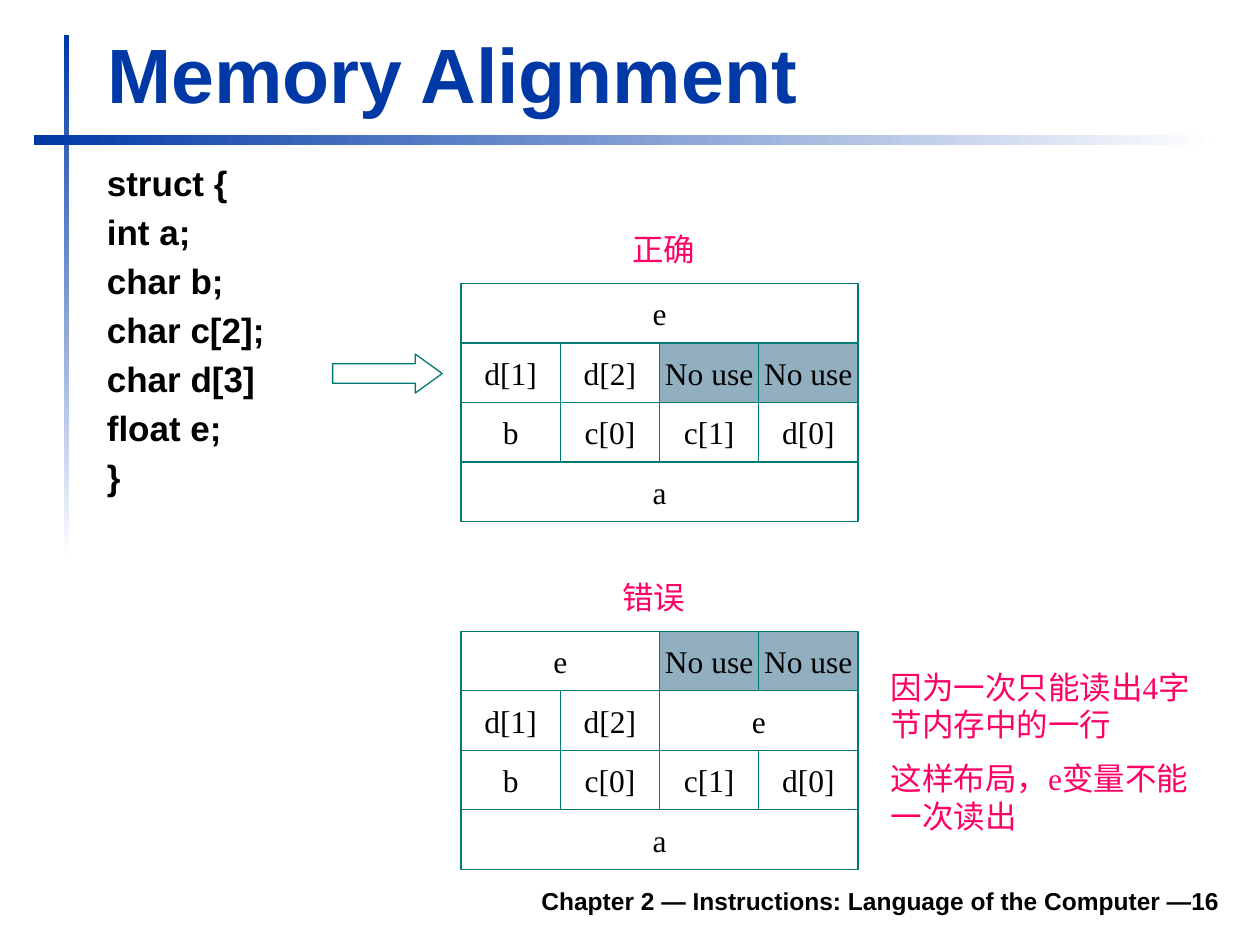
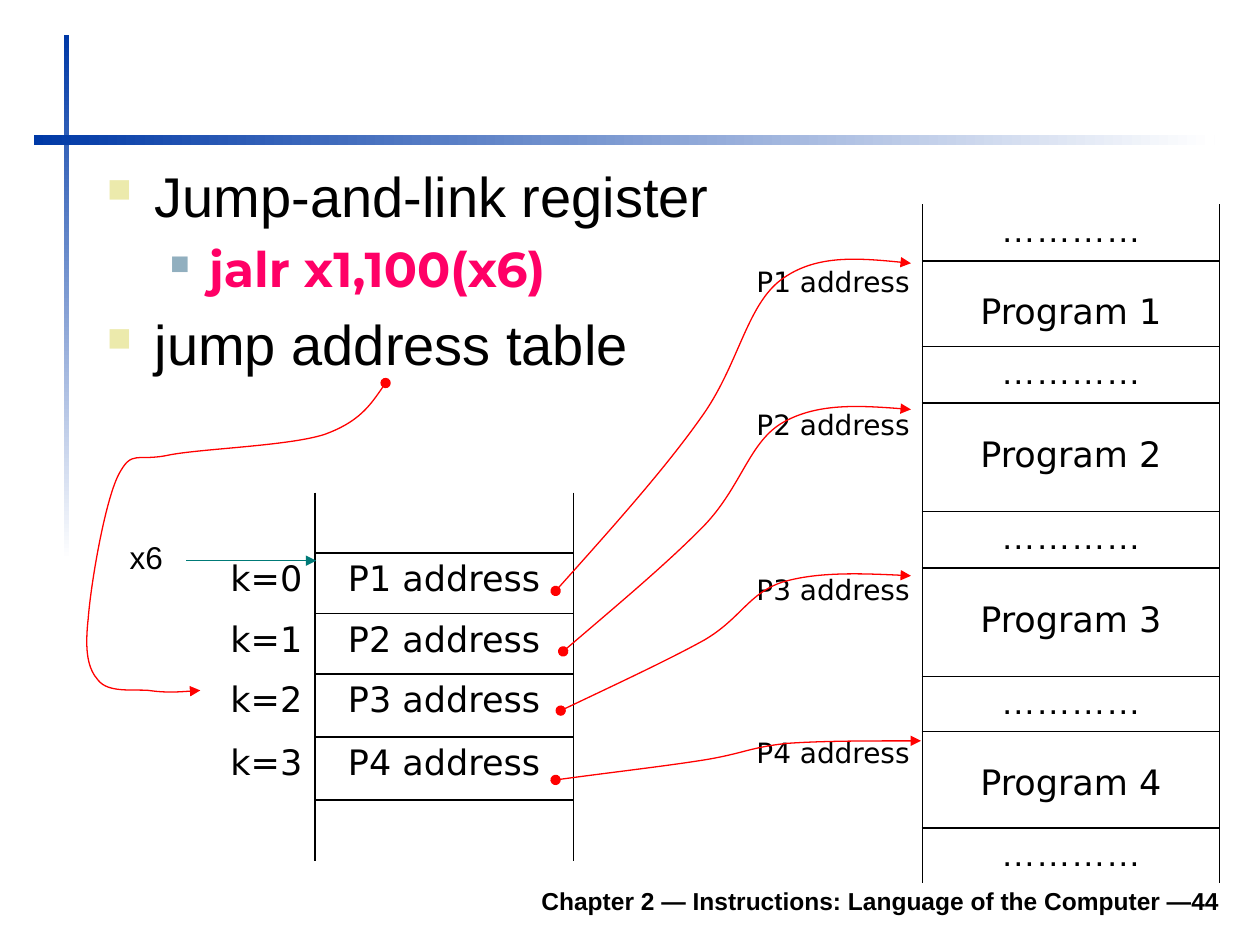
from lxml import etree
from pptx import Presentation
from pptx.dml.color import RGBColor
from pptx.enum.shapes import MSO_CONNECTOR, MSO_SHAPE
from pptx.enum.text import MSO_ANCHOR, PP_ALIGN
from pptx.oxml.ns import qn
from pptx.util import Inches, Pt

RECTANGLE, RIGHT_ARROW = MSO_SHAPE.RECTANGLE, MSO_SHAPE.RIGHT_ARROW
STRAIGHT = MSO_CONNECTOR.STRAIGHT
LEFT, CENTER, RIGHT = PP_ALIGN.LEFT, PP_ALIGN.CENTER, PP_ALIGN.RIGHT
TOP, MIDDLE, BOTTOM = MSO_ANCHOR.TOP, MSO_ANCHOR.MIDDLE, MSO_ANCHOR.BOTTOM

COLORS = {
    "blue": "0039A6", "white": "FFFFFF", "black": "000000", "teal": "007A77",
    "gray": "91AFBF", "pink": "FF0066", "sand": "ECEAAC", "red": "FF0000",
}
SANS, SERIF, TABLE_FONT, CODE_FONT = "Arial", "Times New Roman", "DejaVu Sans", "Montserrat"
FOOTER = "Chapter 2 — Instructions: Language of the Computer —{}"
UNUSED = "No use"
DOTS = "…………"


def color(name):
    return RGBColor.from_string(COLORS[name])


def add_element(parent, tag, **attributes):
    return etree.SubElement(parent, qn(tag), attributes)


def add_solid_fill(parent, name):
    add_element(add_element(parent, "a:solidFill"), "a:srgbClr", val=COLORS[name])


def format_paragraph(paragraph, size, font=SANS, tint="black", bold=False, align=LEFT):
    paragraph.alignment = align
    for run in paragraph.runs:
        run.font.size = Pt(size)
        run.font.name = font
        run.font.bold = bold
        run.font.color.rgb = color(tint)


def add_text(slide, box, lines, size, anchor=TOP, wrap=True, space=0, **style):
    shape = slide.shapes.add_textbox(*map(Inches, box))
    frame = shape.text_frame
    frame.text = "\n".join(lines)
    frame.word_wrap = wrap
    frame.vertical_anchor = anchor
    for index, paragraph in enumerate(frame.paragraphs):
        if index:
            paragraph.space_before = Pt(space)
        format_paragraph(paragraph, size, **style)


def add_shape(slide, kind, box, line="teal", fill=None):
    shape = slide.shapes.add_shape(kind, *map(Inches, box))
    shape.shadow.inherit = False
    if fill:
        shape.fill.solid()
        shape.fill.fore_color.rgb = color(fill)
    else:
        shape.fill.background()
    if line:
        shape.line.color.rgb = color(line)
        shape.line.width = Pt(0.75)
    else:
        shape.line.fill.background()
    return shape


def add_arrowheads(shape, head=None, tail="triangle"):
    line = shape.line._get_or_add_ln()
    if head:
        add_element(line, "a:headEnd", type=head)
    add_element(line, "a:tailEnd", type=tail)


# Shared frame: gradient bands, title and footer
def add_frame(slide, number):
    for box, angle in (((0.51, 0.28, 0.04, 4.17), 270), ((0.27, 1.07, 9.37, 0.08), 0)):
        band = add_shape(slide, RECTANGLE, box, line=None)
        band.fill.gradient()
        band.fill.gradient_angle = angle
        for stop, position, name in zip(band.fill.gradient_stops, (0, 1), ("blue", "white")):
            stop.position = position
            stop.color.rgb = color(name)
    add_text(slide, (2.88, 6.95, 6.9, 0.4), [FOOTER.format(number)], 14,
             anchor=MIDDLE, bold=True, align=RIGHT)


def set_title(slide, text):
    title = slide.shapes.title
    title.left, title.top, title.width, title.height = map(Inches, (0.75, 0.15, 9.03, 0.84))
    title.text_frame.text = text
    title.text_frame.vertical_anchor = BOTTOM
    format_paragraph(title.text_frame.paragraphs[0], 44, tint="blue", bold=True)


# Memory layout: rows of (label, bytes), four bytes to a row
def add_memory(slide, box, rows):
    left, top, width, height = box
    byte_width, row_height = width / 4, height / len(rows)
    for row, fields in enumerate(rows):
        offset = 0
        for label, size in fields:
            cell = add_shape(slide, RECTANGLE,
                             (left + offset * byte_width, top + row * row_height,
                              size * byte_width, row_height),
                             fill="gray" if label == UNUSED else None)
            cell.text_frame.text = label
            cell.text_frame.word_wrap = False
            cell.text_frame.vertical_anchor = MIDDLE
            format_paragraph(cell.text_frame.paragraphs[0], 18, SERIF, align=CENTER)
            offset += size


def build_alignment_slide(presentation):
    slide = presentation.slides.add_slide(presentation.slide_layouts[5])
    add_frame(slide, 16)
    set_title(slide, "Memory Alignment")
    add_text(slide, (0.75, 1.23, 2.6, 2.9),
             ["struct {", "int a;", "char b;", "char c[2];", "char d[3]", "float e;", "}"],
             20, space=4, bold=True)
    arrow = add_shape(slide, RIGHT_ARROW, (2.64, 2.81, 0.87, 0.31))
    arrow.adjustments[0], arrow.adjustments[1] = 0.5, 0.69

    whole_a, whole_e = [("a", 4)], [("e", 4)]
    b_row = [("b", 1), ("c[0]", 1), ("c[1]", 1), ("d[0]", 1)]
    d_fields = [("d[1]", 1), ("d[2]", 1)]
    unused = [(UNUSED, 1)] * 2
    pink = {"font": SERIF, "tint": "pink"}

    # Correct layout above, wrong layout below
    add_memory(slide, (3.66, 2.25, 3.15, 1.89), [whole_e, d_fields + unused, b_row, whole_a])
    add_memory(slide, (3.66, 5.01, 3.15, 1.89),
               [[("e", 2)] + unused, d_fields + [("e", 2)], b_row, whole_a])
    add_text(slide, (4.92, 1.78, 0.71, 0.4), ["正确"], 18, **pink)
    add_text(slide, (4.84, 4.54, 0.71, 0.4), ["错误"], 18, **pink)
    add_text(slide, (6.97, 5.25, 2.6, 1.46),
             ["因为一次只能读出4字节内存中的一行", "这样布局，e变量不能一次读出"],
             18, space=9, **pink)


def set_borders(cell, sides):
    properties = cell._tc.get_or_add_tcPr()
    for side in "LRTB":
        line = add_element(properties, f"a:ln{side}", w=str(Pt(1)))
        if side in sides:
            add_solid_fill(line, "black")
        else:
            add_element(line, "a:noFill")
    cell.fill.background()


# Table with an unruled label column beside a ruled column open at both ends
def add_label_table(slide, box, widths, heights, rows, label_size):
    table = slide.shapes.add_table(len(rows), 2, *map(Inches, box)).table
    table.first_row = table.horz_banding = False
    for column, width in zip(table.columns, widths):
        column.width = Inches(width)
    for index, (height, texts) in enumerate(zip(heights, rows)):
        table.rows[index].height = Inches(height)
        sides = "LR" + ("T" if index else "") + ("B" if index < len(rows) - 1 else "")
        styles = ((label_size, RIGHT, "R"), (20, CENTER, sides))
        for column, (text, (size, align, borders)) in enumerate(zip(texts, styles)):
            cell = table.cell(index, column)
            set_borders(cell, borders)
            cell.text = text
            font = SANS if text == DOTS else TABLE_FONT
            format_paragraph(cell.text_frame.paragraphs[0], size, font, align=align)
            if text.startswith("Program"):
                cell.margin_top = Inches(0.25)


def add_bullets(slide, box, items):
    frame = slide.shapes.add_textbox(*map(Inches, box)).text_frame
    frame.word_wrap = True
    frame.text = "\n".join(text for text, level in items)
    levels = (
        (0.38, 0.38, "sand", 60, {"size": 32}),
        (0.81, 0.31, "gray", 55,
         {"size": 28, "font": CODE_FONT, "tint": "pink", "bold": True}),
    )
    for index, (paragraph, (_, level)) in enumerate(zip(frame.paragraphs, items)):
        margin, hanging, tint, percent, style = levels[level]
        paragraph.level = level
        if index:
            paragraph.space_before = Pt(round(style["size"] * 0.23))
        properties = paragraph._p.get_or_add_pPr()
        properties.set("marL", str(Inches(margin)))
        properties.set("indent", str(-Inches(hanging)))
        add_element(add_element(properties, "a:buClr"), "a:srgbClr", val=COLORS[tint])
        add_element(properties, "a:buSzPct", val=str(percent * 1000))
        add_element(properties, "a:buChar", char="■")
        format_paragraph(paragraph, **style)


# Curve through a start point and triples of Bezier points
def add_curve(slide, points):
    start, *others = [(Inches(x), Inches(y)) for x, y in points]
    builder = slide.shapes.build_freeform(*start)
    builder.add_line_segments(others, close=False)
    shape = builder.convert_to_shape()
    segments = list(shape._element.iter(qn("a:lnTo")))
    outline = segments[0].getparent()
    for first in range(0, len(segments), 3):
        curve = add_element(outline, "a:cubicBezTo")
        for segment in segments[first:first + 3]:
            curve.append(segment[0])
            outline.remove(segment)
    shape.shadow.inherit = False
    shape.fill.background()
    shape.line.color.rgb = color("red")
    shape.line.width = Pt(0.75)
    add_arrowheads(shape, head="oval")


def build_jump_slide(presentation):
    slide = presentation.slides.add_slide(presentation.slide_layouts[6])
    add_frame(slide, 44)
    add_bullets(slide, (0.75, 1.23, 5.2, 1.9),
                [("Jump-and-link register", 0), ("jalr x1,100(x6)", 1), ("jump address table", 0)])

    # Programs in memory, and the table of their addresses
    programs = [("", DOTS)]
    for number in range(1, 5):
        programs += [(f"P{number} address", f"Program {number}"), ("", DOTS)]
    add_label_table(slide, (5.75, 1.62, 3.93, 5.37), (1.57, 2.36),
                    (0.45, 0.68, 0.45, 0.86, 0.45, 0.86, 0.42, 0.77, 0.42), programs, 16)
    addresses = [(f"k={k}", f"P{k + 1} address") for k in range(4)]
    add_label_table(slide, (1.64, 3.91, 2.91, 2.92), (0.86, 2.05),
                    (0.48, 0.48, 0.48, 0.5, 0.5, 0.48), [("", ""), *addresses, ("", "")], 20)

    # Base register pointing at the table
    pointer = slide.shapes.add_connector(STRAIGHT, *map(Inches, (1.48, 4.45, 2.51, 4.45)))
    pointer.line.color.rgb = color("teal")
    pointer.line.width = Pt(0.75)
    add_arrowheads(pointer)
    add_element(pointer._element.spPr, "a:effectLst")
    add_text(slide, (0.93, 4.22, 0.51, 0.44), ["x6"], 18, wrap=False)

    # Links from each entry to its program, then from the bullet to the table
    curves = (
        [(4.41, 4.69), (4.84, 4.21), (5.27, 3.73), (5.56, 3.32), (5.86, 2.91),
         (5.92, 2.43), (6.2, 2.22), (6.47, 2.02), (6.85, 2.05), (7.23, 2.09)],
        [(4.47, 5.17), (4.89, 4.81), (5.31, 4.46), (5.6, 4.16), (5.89, 3.85),
         (5.95, 3.5), (6.22, 3.35), (6.49, 3.2), (6.86, 3.22), (7.23, 3.25)],
        [(4.45, 5.64), (4.87, 5.44), (5.3, 5.24), (5.59, 5.08), (5.88, 4.91),
         (5.94, 4.71), (6.21, 4.62), (6.48, 4.54), (6.86, 4.55), (7.23, 4.57)],
        [(4.41, 6.19), (4.85, 6.13), (5.29, 6.08), (5.6, 6.03), (5.9, 5.98),
         (5.96, 5.93), (6.25, 5.9), (6.53, 5.88), (6.92, 5.88), (7.31, 5.88)],
        [(3.06, 3.04), (2.95, 3.2), (2.85, 3.35), (2.57, 3.45), (2.28, 3.54),
         (1.62, 3.56), (1.35, 3.61), (1.08, 3.67), (1.05, 3.56), (0.94, 3.77),
         (0.83, 3.99), (0.72, 4.64), (0.7, 4.91), (0.67, 5.18), (0.7, 5.31),
         (0.78, 5.4), (0.86, 5.5), (1.05, 5.47), (1.18, 5.48), (1.32, 5.5),
         (1.46, 5.49), (1.59, 5.48)],
    )
    for points in curves:
        add_curve(slide, points)


def main():
    presentation = Presentation()
    presentation.slide_width, presentation.slide_height = Inches(10), Inches(7.5)
    build_alignment_slide(presentation)
    build_jump_slide(presentation)
    presentation.save("out.pptx")


if __name__ == "__main__":
    main()
